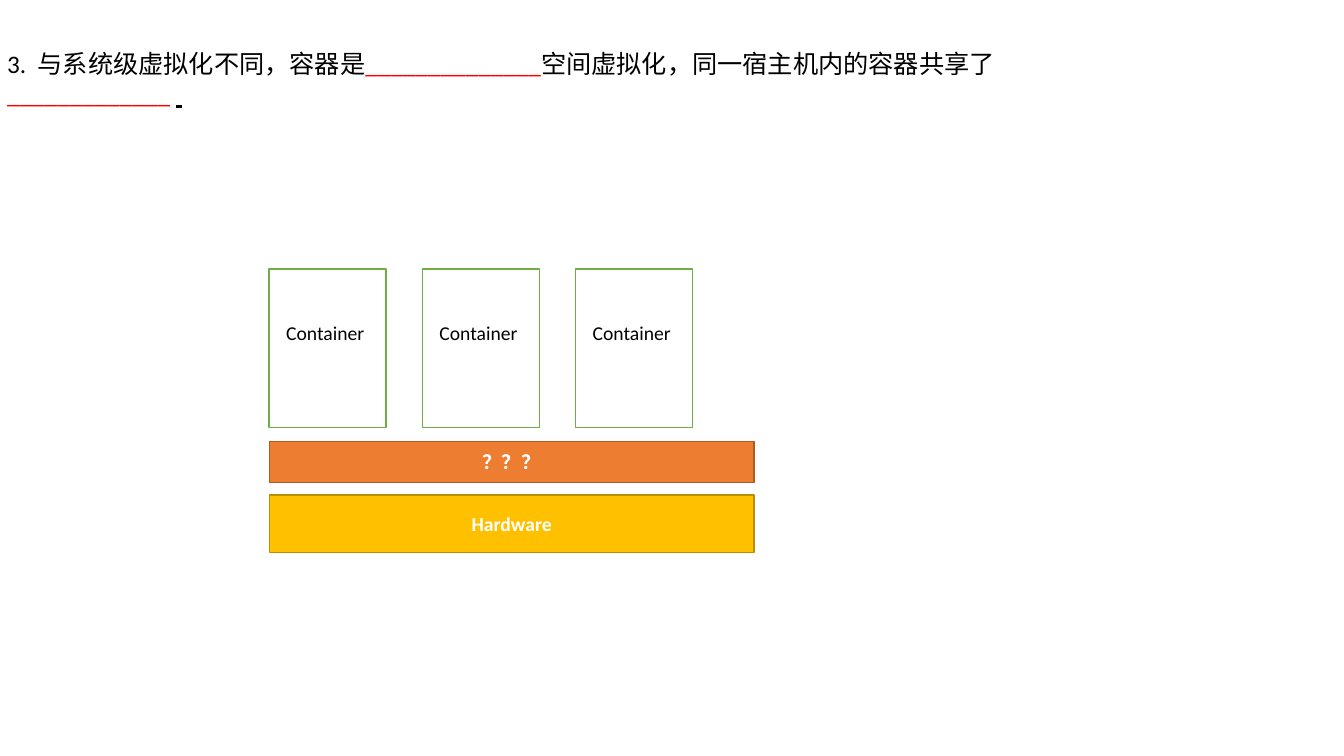
from dataclasses import dataclass

from pptx import Presentation
from pptx.dml.color import RGBColor
from pptx.enum.shapes import MSO_SHAPE
from pptx.enum.text import MSO_ANCHOR as ANCHOR, MSO_AUTO_SIZE as AUTO, PP_ALIGN as ALIGN
from pptx.shapes.autoshape import Shape
from pptx.shapes.shapetree import GroupShapes, SlideShapes
from pptx.text.text import TextFrame
from pptx.util import Inches, Pt

BLACK = RGBColor(0x00, 0x00, 0x00)
WHITE = RGBColor(0xFF, 0xFF, 0xFF)
RED = RGBColor(0xFF, 0x00, 0x00)
GREEN = RGBColor(0x70, 0xAD, 0x47)
ORANGE = RGBColor(0xED, 0x7D, 0x31)
DARK_ORANGE = RGBColor(0xAF, 0x5C, 0x24)
GOLD = RGBColor(0xFF, 0xC0, 0x00)
DARK_GOLD = RGBColor(0xBD, 0x8E, 0x00)

STACK_LEFT = 2.67
CONTAINER_COUNT = 3
CONTAINER_PITCH = 1.52


@dataclass(frozen=True)
class Box:
    left: float
    top: float
    width: float
    height: float
    fill: RGBColor
    line: RGBColor


@dataclass(frozen=True)
class Layer:
    text: str
    box: Box


@dataclass(frozen=True)
class Part:
    text: str
    color: RGBColor
    underline: bool = False


LAYERS = [
    Layer("Hardware", Box(STACK_LEFT, 4.91, 4.81, 0.57, GOLD, DARK_GOLD)),
    Layer("？？？", Box(STACK_LEFT, 4.38, 4.81, 0.41, ORANGE, DARK_ORANGE)),
]

QUESTION = [
    Part("3.  与系统级虚拟化不同，容器是", BLACK),
    Part("_" * 14, RED),
    Part("空间虚拟化，同一宿主机内的容器共享了", BLACK),
    Part("_" * 13 + " ", RED),
    Part(" ", BLACK, underline=True),
]


def format_frame(tf: TextFrame, align: ALIGN, **values) -> None:
    for name, value in values.items():
        setattr(tf, name, value)
    tf.paragraphs[0].alignment = align


def add_run(tf: TextFrame, part: Part, size: int, bold: bool = False) -> None:
    r = tf.paragraphs[0].add_run()
    r.text = part.text
    values = {"name": "Calibri", "size": Pt(size), "bold": bold, "underline": part.underline}
    for name, value in values.items():
        setattr(r.font, name, value)
    r.font.color.rgb = part.color


def add_box(shapes: SlideShapes | GroupShapes, box: Box) -> Shape:
    sp = shapes.add_shape(
        MSO_SHAPE.RECTANGLE,
        Inches(box.left), Inches(box.top), Inches(box.width), Inches(box.height),
    )
    sp.shadow.inherit = False
    sp.fill.solid()
    sp.fill.fore_color.rgb = box.fill
    sp.line.color.rgb = box.line
    sp.line.width = Pt(1)
    return sp


def add_question(title: Shape) -> None:
    place = {"left": -0.03, "top": 0.43, "width": 11.61, "height": 0.4}
    for name, value in place.items():
        setattr(title, name, Inches(value))
    tf = title.text_frame
    format_frame(tf, ALIGN.LEFT, word_wrap=True, vertical_anchor=ANCHOR.TOP,
                 auto_size=AUTO.SHAPE_TO_FIT_TEXT)
    for part in QUESTION:
        add_run(tf, part, 18)


def add_layer(shapes: SlideShapes, layer: Layer) -> None:
    tf = add_box(shapes, layer.box).text_frame
    format_frame(tf, ALIGN.CENTER, word_wrap=True, vertical_anchor=ANCHOR.MIDDLE)
    add_run(tf, Part(layer.text, WHITE), 14, bold=True)


def add_container(shapes: SlideShapes, left: float) -> None:
    group = shapes.add_group_shape()
    add_box(group.shapes, Box(left, 2.67, 1.16, 1.57, WHITE, GREEN))
    label = group.shapes.add_textbox(
        Inches(left + 0.07), Inches(3.13), Inches(1.03), Inches(0.34)
    )
    tf = label.text_frame
    format_frame(tf, ALIGN.LEFT, word_wrap=True, auto_size=AUTO.SHAPE_TO_FIT_TEXT)
    add_run(tf, Part("Container", BLACK), 14)


def main() -> None:
    prs = Presentation()
    prs.slide_width = Inches(13.33)
    prs.slide_height = Inches(7.5)
    slide = prs.slides.add_slide(prs.slide_layouts.get_by_name("Title Only"))
    add_question(slide.shapes.title)
    for layer in LAYERS:
        add_layer(slide.shapes, layer)
    for i in range(CONTAINER_COUNT):
        add_container(slide.shapes, STACK_LEFT + i * CONTAINER_PITCH)
    prs.save("out.pptx")


if __name__ == "__main__":
    main()
